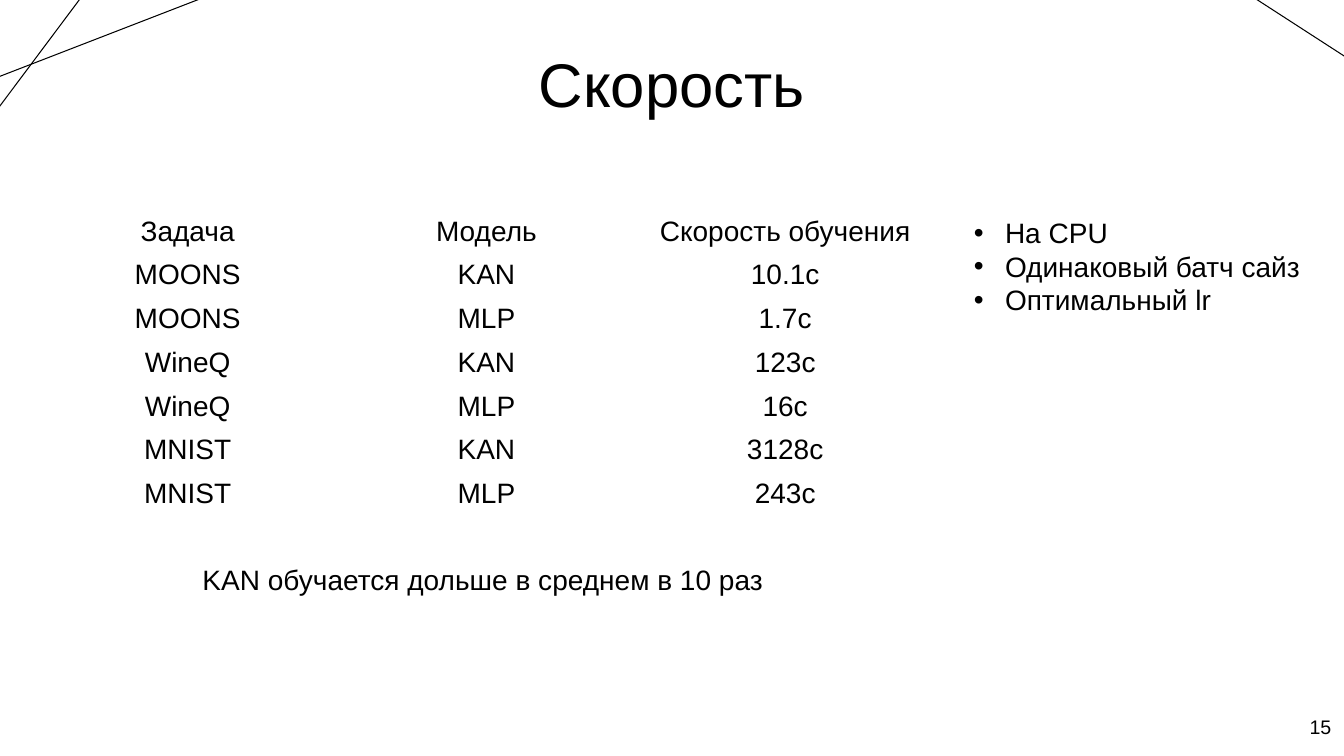
from lxml.etree import SubElement
from pptx import Presentation
from pptx.dml.color import RGBColor
from pptx.enum.shapes import MSO_CONNECTOR
from pptx.enum.text import MSO_ANCHOR, MSO_AUTO_SIZE, PP_ALIGN
from pptx.oxml.ns import qn
from pptx.util import Inches, Pt

COLORS = {"ink": "000000", "paper": "FFFFFF"}
FONT = "Arial"
TITLE = "Скорость"
NOTE = "KAN обучается дольше в среднем в 10 раз"
PAGE = "15"
HEAD = ("Задача", "Модель", "Скорость обучения")
SPEEDS = {
    "MOONS": {"KAN": "10.1с", "MLP": "1.7с"},
    "WineQ": {"KAN": "123с", "MLP": "16с"},
    "MNIST": {"KAN": "3128с", "MLP": "243с"},
}
POINTS = ["На CPU", "Одинаковый батч сайз", "Оптимальный lr"]
LINES = [
    (-0.06, 1.13, 0.83, -0.06),
    (-0.06, 0.78, 2.11, -0.06),
    (12.38, -0.06, 13.4, 0.6),
]
NO_STYLE = "{2D5ABB26-0587-4C30-8999-92F81FD0307C}"


def color(name):
    return RGBColor.from_string(COLORS[name])


def write(para, text, size, align=PP_ALIGN.LEFT):
    para.alignment = align
    run = para.add_run()
    run.text = text
    for key, value in {"name": FONT, "size": Pt(size), "bold": False}.items():
        setattr(run.font, key, value)
    run.font.color.rgb = color("ink")


def add_dot(para):
    props = para._p.get_or_add_pPr()
    props.set("marL", str(Inches(0.31)))
    props.set("indent", str(-Inches(0.31)))
    tint = SubElement(props, qn("a:buClr"))
    SubElement(tint, qn("a:srgbClr"), val=COLORS["ink"])
    SubElement(props, qn("a:buFont"), typeface=FONT)
    SubElement(props, qn("a:buChar"), char="•")


def add_text(slide, spot, texts, size, align=PP_ALIGN.LEFT, dots=False, **form):
    frame = slide.shapes.add_textbox(*map(Inches, spot)).text_frame
    base = {"word_wrap": False, "auto_size": MSO_AUTO_SIZE.SHAPE_TO_FIT_TEXT}
    for key, value in {**base, **form}.items():
        setattr(frame, key, value)
    for i, text in enumerate(texts):
        para = frame.add_paragraph() if i else frame.paragraphs[0]
        if dots:
            add_dot(para)
        write(para, text, size, align)


def add_line(slide, ends):
    line = slide.shapes.add_connector(MSO_CONNECTOR.STRAIGHT, *map(Inches, ends))
    line.line.color.rgb = color("ink")
    line.line.width = Pt(0.75)
    SubElement(line._element.spPr, qn("a:effectLst"))


def add_speeds(slide):
    rows = [HEAD] + [
        (task, model, time)
        for task, times in SPEEDS.items()
        for model, time in times.items()
    ]
    spot = map(Inches, (0.38, 2.09, 8.89, 3.03))
    table = slide.shapes.add_table(len(rows), len(HEAD), *spot).table
    table.first_row = table.horz_banding = False
    table._tbl.tblPr.find(qn("a:tableStyleId")).text = NO_STYLE
    for r, row in enumerate(rows):
        for c, text in enumerate(row):
            cell = table.cell(r, c)
            cell.fill.background()
            write(cell.text_frame.paragraphs[0], text, 20, PP_ALIGN.CENTER)


def main():
    deck = Presentation()
    deck.slide_width, deck.slide_height = Inches(13.33), Inches(7.5)
    slide = deck.slides.add_slide(deck.slide_layouts[6])
    slide.background.fill.solid()
    slide.background.fill.fore_color.rgb = color("paper")
    for ends in LINES:
        add_line(slide, ends)
    add_text(slide, (1.26, 0.4, 10.81, 0.84), [TITLE], 44, PP_ALIGN.CENTER,
             word_wrap=True, auto_size=MSO_AUTO_SIZE.NONE,
             vertical_anchor=MSO_ANCHOR.BOTTOM)
    add_text(slide, (1.91, 5.53, 5.83, 0.44), [NOTE], 20)
    add_speeds(slide)
    add_text(slide, (9.56, 2.09, 3.47, 1.45), POINTS, 20, dots=True)
    add_text(slide, (12.89, 7.04, 0.42, 0.34), [PAGE], 14)
    deck.save("out.pptx")


if __name__ == "__main__":
    main()
